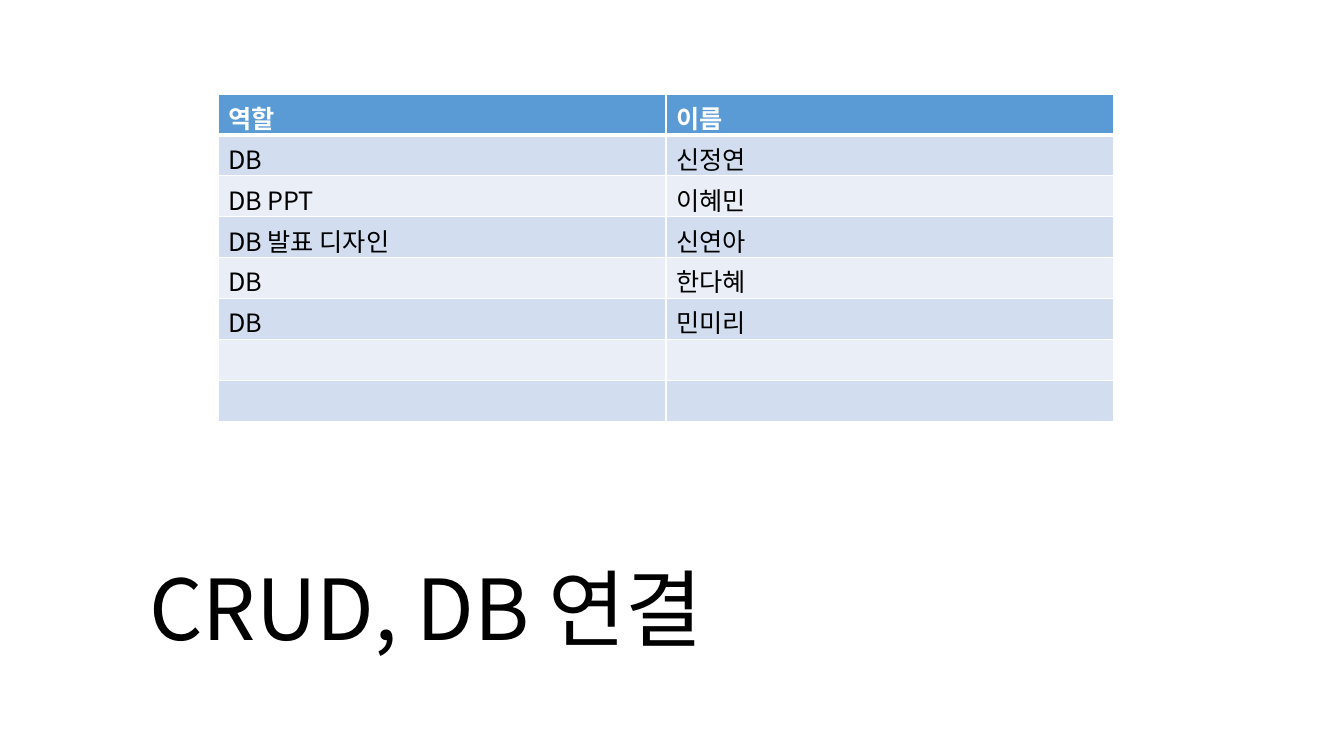
"""Build the slide that lists team roles above the CRUD and database heading."""
from typing import NamedTuple

import pptx
import pptx.dml.color
import pptx.enum.text
import pptx.oxml
import pptx.oxml.ns
import pptx.text.text
import pptx.util

Pt = pptx.util.Pt
RGBColor = pptx.dml.color.RGBColor

WHITE = RGBColor(0xFF, 0xFF, 0xFF)
BLACK = RGBColor(0x00, 0x00, 0x00)
HEADER_BLUE = RGBColor(0x5B, 0x9B, 0xD5)
BANDS = (RGBColor(0xEA, 0xEF, 0xF7), RGBColor(0xD2, 0xDE, 0xEF))
FONT = "Noto Sans CJK KR"


class Member(NamedTuple):
    role: str
    name: str


TEAM = (
    Member("역할", "이름"),
    Member("DB", "신정연"),
    Member("DB PPT", "이혜민"),
    Member("DB 발표 디자인", "신연아"),
    Member("DB ", "한다혜"),
    Member("DB ", "민미리"),
    Member("", ""),
    Member("", ""),
)


def write(frame, text: str, *, size: float, color: RGBColor, bold: bool = False) -> None:
    paragraph = frame.paragraphs[0]
    paragraph.alignment = pptx.enum.text.PP_ALIGN.LEFT
    if text:
        run = paragraph.add_run()
        run.text = text
        properties = run._r.get_or_add_rPr()
    else:
        properties = paragraph._p.get_or_add_endParaRPr()
    font = pptx.text.text.Font(properties)
    font.size, font.bold, font.name = Pt(size), bold, FONT
    font.color.rgb = color
    properties.find(pptx.oxml.ns.qn("a:latin")).addnext(pptx.oxml.parse_xml(
        f'<a:ea {pptx.oxml.ns.nsdecls("a")} typeface="{FONT}"/>'))


def add_borders(cell, *, top: float, bottom: float) -> None:
    for side, width in (("L", 1), ("R", 1), ("T", top), ("B", bottom)):
        cell._tc.get_or_add_tcPr().append(pptx.oxml.parse_xml(
            f'<a:ln{side} {pptx.oxml.ns.nsdecls("a")} w="{Pt(width)}">'
            f'<a:solidFill><a:srgbClr val="{WHITE}"/></a:solidFill></a:ln{side}>'))


def add_team_table(slide) -> None:
    row_height = Pt(29.2)
    team_table = slide.shapes.add_table(
        len(TEAM), len(Member._fields), Pt(155.8), Pt(67.2),
        Pt(640), row_height * len(TEAM)).table
    for index, member in enumerate(TEAM):
        team_table.rows[index].height = row_height
        header = index == 0
        for column, text in enumerate(member):
            cell = team_table.cell(index, column)
            add_borders(cell, top=3 if index == 1 else 1, bottom=3 if header else 1)
            cell.fill.solid()
            cell.fill.fore_color.rgb = HEADER_BLUE if header else BANDS[index % 2]
            write(cell.text_frame, text, size=18,
                  color=WHITE if header else BLACK, bold=header)


def add_heading(slide) -> None:
    heading = slide.shapes.title
    heading.left, heading.top = Pt(99.4), Pt(393.8)
    heading.width, heading.height = Pt(449.3), Pt(79.9)
    frame = heading.text_frame
    frame.word_wrap = False
    frame.auto_size = pptx.enum.text.MSO_AUTO_SIZE.SHAPE_TO_FIT_TEXT
    frame.vertical_anchor = pptx.enum.text.MSO_ANCHOR.TOP
    write(frame, "CRUD, DB 연결 ", size=60, color=BLACK)


presentation = pptx.Presentation()
presentation.slide_width, presentation.slide_height = Pt(960), Pt(540)
team_slide = presentation.slides.add_slide(presentation.slide_layouts[5])
add_team_table(team_slide)
add_heading(team_slide)
presentation.save("out.pptx")
